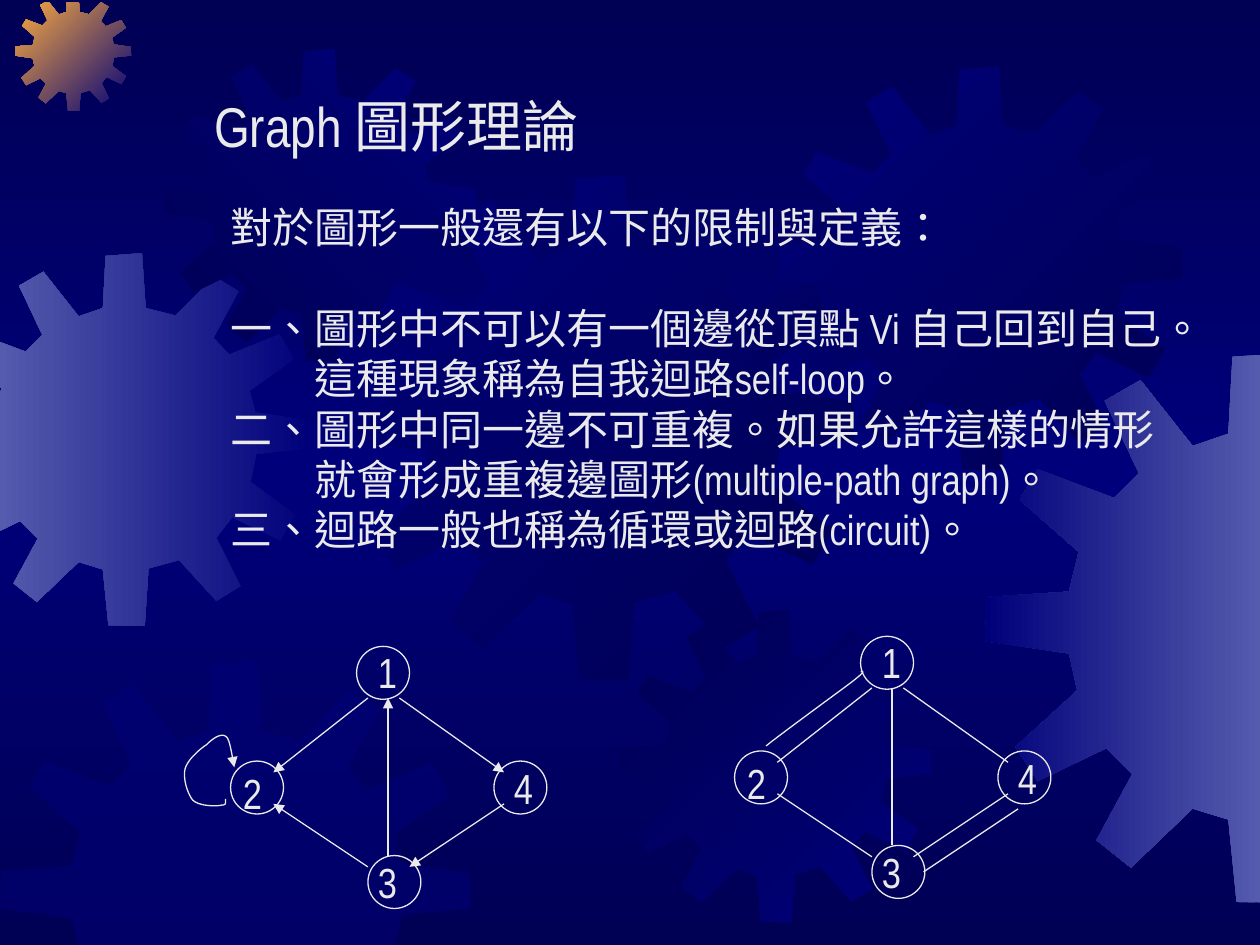
from copy import deepcopy
from lxml.etree import SubElement
from pptx import Presentation
from pptx.dml.color import RGBColor
from pptx.enum.shapes import MSO_CONNECTOR, MSO_SHAPE
from pptx.enum.text import MSO_ANCHOR, MSO_AUTO_SIZE, PP_ALIGN
from pptx.oxml.ns import qn
from pptx.util import Inches, Pt

INK, NAVY, BLUE, LILAC, AMBER = "EAEAEA", "000054", "00007A", "555BAD", "FCAB40"
FONT = "Arial Narrow"
SPAN = 401
GEAR = [
    (255, 67), (223, 59), (219, 0), (180, 3), (177, 59), (151, 68),
    (113, 20), (87, 35), (112, 88), (94, 106), (38, 85), (25, 107),
    (68, 145), (61, 174), (1, 178), (0, 210), (61, 219), (67, 246),
    (22, 287), (38, 312), (88, 288), (107, 307), (81, 355), (106, 375),
    (151, 332), (177, 340), (183, 400), (222, 401), (226, 339), (259, 330),
    (299, 374), (325, 358), (299, 306), (316, 284), (368, 309), (384, 281),
    (336, 246), (342, 216), (401, 210), (400, 180), (341, 171), (335, 148),
    (383, 114), (367, 87), (313, 109), (296, 91), (323, 41), (297, 25),
]
GEARS = [
    (-0.49, 2.01, 2.96, BLUE, LILAC, 180),
    (0.12, -0.04, 0.92, BLUE, AMBER, 225),
    (1.3, 0.39, 2.48, BLUE, NAVY, 135),
    (2.77, 1.39, 4.01, NAVY, BLUE, 225),
    (0, 5.25, 3.74, BLUE, None, 0),
    (4.91, 4.84, 2.48, BLUE, NAVY, 225),
    (6.18, 0.53, 3.2, NAVY, BLUE, 225),
    (7.82, 2.8, 4.37, LILAC, BLUE, 180),
]
LIMITS = [(0, -0.01, 1), (1, 0.02, 1), (0, 10.01, -1), (1, 7.54, -1)]
NODES = [
    ("1", 2.83, 5.13, 0.07, -0.05),
    ("2", 1.83, 6.04, 0, 0),
    ("3", 2.92, 6.79, -0.02, -0.04),
    ("4", 3.92, 6.04, 0.06, -0.04),
]
EDGES = [
    (2.92, 5.54, 2.17, 6.13),
    (2.92, 6.88, 2.17, 6.38),
    (3.08, 6.79, 3.08, 5.54),
    (3.17, 5.54, 4, 6.13),
    (4, 6.38, 3.25, 6.88),
]
LOOP = [
    (1.79, 6.34), (1.79, 6.37), (1.8, 6.39), (1.76, 6.39), (1.72, 6.4),
    (1.58, 6.4), (1.53, 6.35), (1.49, 6.3), (1.45, 6.18), (1.47, 6.1),
    (1.49, 6.03), (1.58, 5.95), (1.64, 5.91), (1.69, 5.86), (1.76, 5.81),
    (1.8, 5.85), (1.83, 5.88), (1.85, 6.05), (1.86, 6.09),
]
TWIN = [(6.83, 5.33), (6.85, 5.33), (6.88, 5.32), (6.75, 5.42),
        (6.63, 5.51), (6.19, 5.83), (6.08, 5.92)]
LINES = [
    "對於圖形一般還有以下的限制與定義：",
    "一、圖形中不可以有一個邊從頂點 Vi 自己回到自己。\v這種現象稱為自我迴路self-loop。",
    "二、圖形中同一邊不可重複。如果允許這樣的情形\v就會形成重複邊圖形(multiple-path graph)。",
    "三、迴路一般也稱為循環或迴路(circuit)。",
]


def color(code):
    """Turn a hex string into a colour."""
    return RGBColor.from_string(code)


def blend(fill, first, last, angle):
    """Apply a linear gradient, with the angle measured clockwise."""
    fill.gradient()
    fill.gradient_angle = (360 - angle) % 360
    for stop, code, place in zip(fill.gradient_stops, (first, last), (0, 1)):
        stop.color.rgb = color(code)
        stop.position = place


def paint(slide):
    """Give the slide a dark, light, dark background."""
    fill = slide.background.fill
    blend(fill, NAVY, BLUE, 90)
    stops = slide.element.find(".//" + qn("a:gsLst"))
    stops.append(deepcopy(stops[0]))
    for stop, place in zip(fill.gradient_stops, (0, 0.5, 1)):
        stop.position = place


def clip(points, axis, edge, sign):
    """Cut a polygon along one straight limit."""
    kept = []
    for a, b in zip(points, points[1:] + points[:1]):
        near, far = sign * (a[axis] - edge), sign * (b[axis] - edge)
        if near >= 0:
            kept.append(a)
        if near * far < 0:
            part = near / (near - far)
            kept.append(tuple(p + part * (q - p) for p, q in zip(a, b)))
    return kept


def trace(shapes, points, close):
    """Draw a freeform through points given in inches."""
    spots = [(Inches(x), Inches(y)) for x, y in points]
    pen = shapes.build_freeform(*spots[0], scale=1.0)
    pen.add_line_segments(spots[1:], close=close)
    shape = pen.convert_to_shape()
    shape.shadow.inherit = False
    return shape


def add_gear(slide, left, top, size, first, last, angle):
    """Add one gear, cut at the slide limits."""
    points = [(left + x * size / SPAN, top + y * size / SPAN) for x, y in GEAR]
    for limit in LIMITS:
        points = clip(points, *limit)
    gear = trace(slide.shapes, points, True)
    gear.line.fill.background()
    if last:
        blend(gear.fill, first, last, angle)
    else:
        gear.fill.solid()
        gear.fill.fore_color.rgb = color(first)
        tone = gear.element.find(".//" + qn("a:srgbClr"))
        SubElement(tone, qn("a:alpha"), val="50000")


def ink(shape, arrow=False):
    """Style a thin outline, with an arrowhead at its end if asked."""
    shape.line.color.rgb = color(INK)
    shape.line.width = Pt(0.75)
    if arrow:
        pen = shape.element.find(".//" + qn("a:ln"))
        SubElement(pen, qn("a:tailEnd"), type="triangle")


def add_curve(shapes, knots, arrow=False):
    """Draw joined cubic curves as a fine open line."""
    points, steps = [knots[0]], 10
    for i in range(0, len(knots) - 1, 3):
        for n in range(1, steps + 1):
            t = n / steps
            u = 1 - t
            mix = (u ** 3, 3 * u * u * t, 3 * u * t * t, t ** 3)
            points.append(tuple(sum(m * k[d] for m, k in zip(mix, knots[i:i + 4]))
                                for d in (0, 1)))
    curve = trace(shapes, points, False)
    curve.fill.background()
    ink(curve, arrow)


def add_edge(shapes, x1, y1, x2, y2, arrow=False):
    """Add one straight edge."""
    edge = shapes.add_connector(MSO_CONNECTOR.STRAIGHT, *map(Inches, (x1, y1, x2, y2)))
    ink(edge, arrow)
    SubElement(edge.element.spPr, qn("a:effectLst"))


def write(box, lines, size):
    """Fill a box with lines of text."""
    frame = box.text_frame
    frame.word_wrap = False
    frame.auto_size = MSO_AUTO_SIZE.SHAPE_TO_FIT_TEXT
    frame.vertical_anchor = MSO_ANCHOR.TOP
    for i, line in enumerate(lines):
        para = frame.add_paragraph() if i else frame.paragraphs[0]
        para.text = line
        para.alignment = PP_ALIGN.LEFT
        for run in para.runs:
            run.font.size = Pt(size)
            run.font.name = FONT
            run.font.color.rgb = color(INK)
            run._r.get_or_add_rPr().set("lang", "zh-TW")
    return frame


def add_title(slide):
    """Place the title in front of the gears."""
    title = slide.shapes.title
    title.left, title.top, title.width, title.height = map(Inches, (1.6, 0.68, 4, 0.64))
    write(title, ["Graph 圖形理論"], 32)
    slide.shapes.element.append(title.element)


def add_body(slide):
    """Add the introduction and its hanging numbered rules."""
    box = slide.shapes.add_textbox(*map(Inches, (1.73, 1.55, 8.1, 2.9)))
    rules = write(box, LINES, 24).paragraphs[1:]
    rules[0].space_before = Pt(28.8)
    for rule in rules:
        props = rule._p.get_or_add_pPr()
        props.set("marL", str(Inches(0.67)))
        props.set("indent", str(-Inches(0.67)))


def add_graph(slide, dx, dy, arrow):
    """Add a grouped graph of four nodes and five edges."""
    shapes = slide.shapes.add_group_shape().shapes
    for _, x, y, _, _ in NODES:
        node = shapes.add_shape(MSO_SHAPE.OVAL, *map(Inches, (x + dx, y + dy, 0.42, 0.42)))
        node.shadow.inherit = False
        node.fill.background()
        ink(node)
    for x1, y1, x2, y2 in EDGES:
        add_edge(shapes, x1 + dx, y1 + dy, x2 + dx, y2 + dy, arrow)
    for name, x, y, right, down in NODES:
        spot = (x + dx + right, y + dy + down, 0.35, 0.5)
        write(shapes.add_textbox(*map(Inches, spot)), [name], 24)


def main():
    """Build and save the slide."""
    deck = Presentation()
    deck.slide_width, deck.slide_height = Inches(10), Inches(7.5)
    slide = deck.slides.add_slide(deck.slide_layouts[5])
    paint(slide)
    for gear in GEARS:
        add_gear(slide, *gear)
    add_title(slide)
    add_body(slide)
    add_graph(slide, 0, 0, True)
    add_curve(slide.shapes, LOOP, True)
    add_graph(slide, 4, -0.08, False)
    add_curve(slide.shapes, TWIN)
    add_edge(slide.shapes, 7.33, 6.92, 8.08, 6.42)
    deck.save("out.pptx")


if __name__ == "__main__":
    main()
